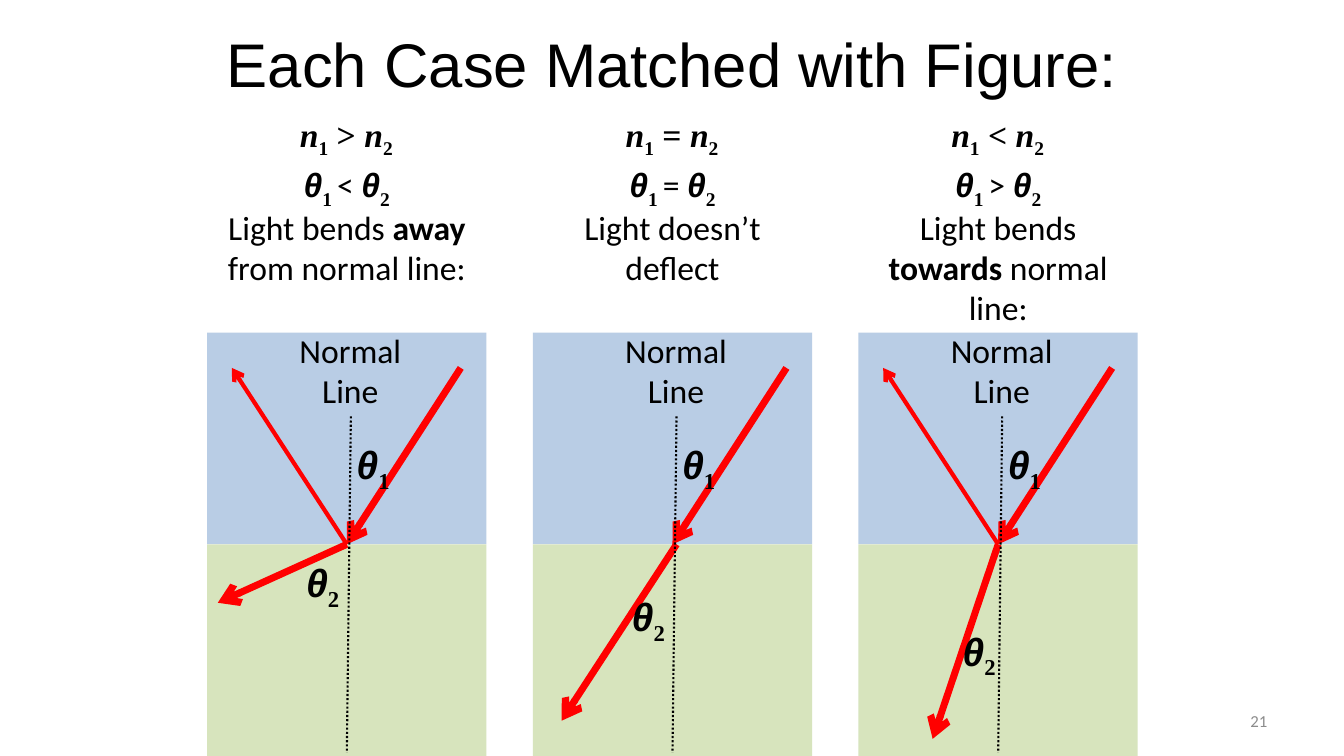
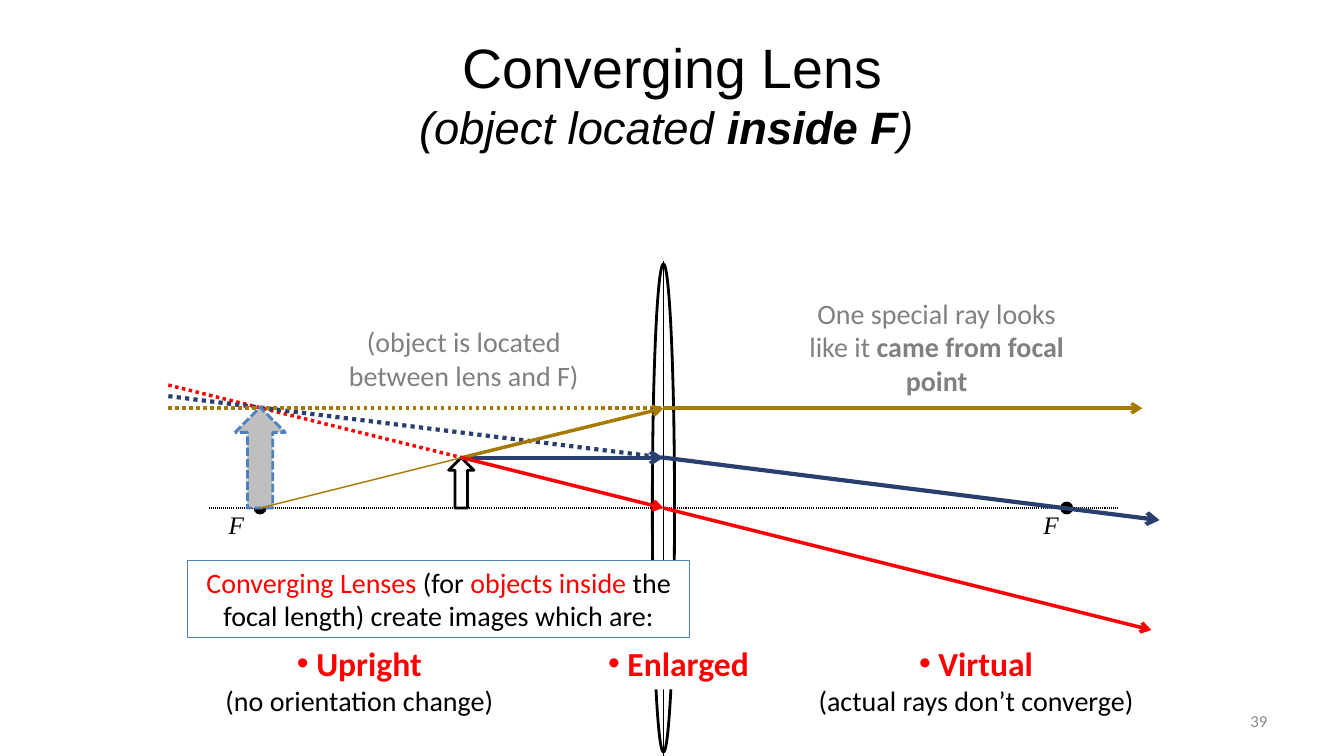
from lxml import etree
from pptx import Presentation
from pptx import util as u
from pptx.dml.color import RGBColor
from pptx.enum import dml, shapes, text
from pptx.oxml.ns import qn

COLORS = {
    "black": "000000", "white": "FFFFFF", "red": "FF0000", "navy": "293F6F",
    "gold": "A67A00", "blue": "4F81BD", "air": "B9CDE5", "glass": "D7E4BD",
    "image": "BFBFBF", "note": "808080", "number": "8C8C8C",
}
RGB = {name: RGBColor.from_string(value) for name, value in COLORS.items()}
SANS, BODY, SERIF = "Arial", "Calibri", "Times New Roman"
CENTER, LEFT, RIGHT = text.PP_ALIGN.CENTER, text.PP_ALIGN.LEFT, text.PP_ALIGN.RIGHT
DOTS, DASHES = dml.MSO_LINE.ROUND_DOT, dml.MSO_LINE.SQUARE_DOT
SHAPE = shapes.MSO_SHAPE


def write(shape, runs, size, font=BODY, color="black", align=CENTER,
          anchor=text.MSO_ANCHOR.TOP, fit=text.MSO_AUTO_SIZE.SHAPE_TO_FIT_TEXT, bullet=False):
    frame = shape.text_frame
    frame.word_wrap = True
    frame.auto_size = fit
    frame.vertical_anchor = anchor
    paragraph = frame.paragraphs[0]
    paragraph.alignment = align
    if bullet:
        properties = paragraph._p.get_or_add_pPr()
        properties.set("marL", "0")
        properties.set("indent", "0")
        etree.SubElement(properties, qn("a:buFont")).set("typeface", SANS)
        etree.SubElement(properties, qn("a:buChar")).set("char", "•")
    for words, style in runs:
        if words == "\n":
            paragraph.add_line_break()
            continue
        run = paragraph.add_run()
        run.text = words
        run.font.size = u.Pt(style.get("size", size))
        run.font.name = style.get("font", font)
        run.font.bold = style.get("bold", False)
        run.font.italic = style.get("italic", False)
        run.font.color.rgb = RGB[style.get("color", color)]
        if style.get("subscript"):
            run.font._element.set("baseline", "-25000")


def draw_line(slide, start, end, color, width, dash=None, arrow=False):
    points = [u.Inches(value) for value in (*start, *end)]
    line = slide.shapes.add_connector(shapes.MSO_CONNECTOR.STRAIGHT, *points)
    line.line.color.rgb = RGB[color]
    line.line.width = u.Pt(width)
    if dash:
        line.line.dash_style = dash
    if arrow:
        etree.SubElement(line.line._get_or_add_ln(), qn("a:tailEnd")).set("type", "arrow")
    etree.SubElement(line._element.spPr, qn("a:effectLst"))
    return line


presentation = Presentation()
presentation.slide_width = u.Inches(13.33)
presentation.slide_height = u.Inches(7.5)

slides = []
for title_box, title_runs, number in (
    ((1.92, 0, 9.5, 1.25), [("Each Case Matched with Figure:", {})], "21"),
    ((0.67, 0.3, 12, 1.25), [
        ("Converging Lens", {"size": 39.6}),
        ("\n", {}),
        ("(object located ", {"size": 32.4, "italic": True}),
        ("inside F", {"size": 32.4, "italic": True, "bold": True}),
        (") ", {"size": 32.4, "italic": True}),
    ], "39"),
):
    slide = presentation.slides.add_slide(presentation.slide_layouts[5])
    title = slide.shapes.title
    title.left, title.top, title.width, title.height = map(u.Inches, title_box)
    write(title, title_runs, 44, SANS, anchor=text.MSO_ANCHOR.MIDDLE, fit=text.MSO_AUTO_SIZE.NONE)
    number_box = slide.shapes.add_textbox(*map(u.Inches, (9.56, 6.95, 3.11, 0.4)))
    write(number_box, [(number, {})], 12, color="number", align=RIGHT,
          anchor=text.MSO_ANCHOR.MIDDLE, fit=text.MSO_AUTO_SIZE.NONE)
    slides.append(slide)
cases_slide, lens_slide = slides

SYMBOL = {"bold": True, "italic": True}
INDEX = {"bold": True, "subscript": True, "font": SERIF}
BOLD = {"bold": True}
BOUNDARY = 5.4
cases = [
    (">", "<", [("Light bends ", {}), ("away", BOLD), (" from normal line:", {})],
     0.91, True, (0, -1.28, 5.98), (-0.53, 5.49)),
    ("=", "=", [("Light doesn’t deflect", {})],
     0.91, False, (0.04, -1.1, 7.15), (-0.53, 5.83)),
    ("<", ">", [("Light bends ", {}), ("towards", BOLD), (" normal line:", {})],
     1.31, True, (0, -0.65, 7.33), (-0.48, 6.17)),
]
for position, case in enumerate(cases):
    index_sign, angle_sign, description, height, reflects, refracted, angle_place = case
    center = 3.44 + 3.23 * position
    media = []
    for top, color in ((BOUNDARY - 2.1, "air"), (BOUNDARY, "glass")):
        medium = cases_slide.shapes.add_shape(
            SHAPE.RECTANGLE, *map(u.Inches, (center - 1.385, top, 2.77, 2.1)))
        medium.shadow.inherit = False
        medium.fill.solid()
        medium.fill.fore_color.rgb = RGB[color]
        medium.line.fill.background()
        media.append(medium)
    air, glass = media

    hit = (center, BOUNDARY)
    incident = draw_line(cases_slide, (center + 1.13, 3.65), hit, "red", 5, arrow=True)
    incident.end_connect(air, 2)
    start, end, bottom = refracted
    transmitted = draw_line(cases_slide, (center + start, BOUNDARY), (center + end, bottom),
                            "red", 5, arrow=True)
    if start == 0:
        transmitted.begin_connect(glass, 0)
    if reflects:
        reflected = draw_line(cases_slide, hit, (center - 1.14, 3.65), "red", 3, arrow=True)
        reflected.begin_connect(air, 2)

    labels = [
        ((-0.63, 3.22, 1.33, 0.91), [("Normal Line", {})], 24, BODY),
        ((-0.03, 4.32, 0.58, 0.57), [("θ", SYMBOL), ("1", INDEX)], 28, SANS),
        ((*angle_place, 0.58, 0.57), [("θ", SYMBOL), ("2", INDEX)], 28, SANS),
        ((-1.13, 1.08, 2.25, 0.5),
         [("n", SYMBOL), ("1", INDEX), (f" {index_sign} ", BOLD), ("n", SYMBOL), ("2", INDEX)],
         24, SERIF),
        ((-1.46, 1.58, 2.92, 0.51),
         [("θ", SYMBOL), ("1 ", INDEX), (f"{angle_sign} ", {"font": BODY}),
          ("θ", SYMBOL), ("2", INDEX)], 24, SANS),
        ((-1.29, 2, 2.58, height), description, 24, BODY),
    ]
    for (offset, *rest), runs, size, font in labels:
        label = cases_slide.shapes.add_textbox(*map(u.Inches, (center + offset, *rest)))
        write(label, runs, size, font)
    draw_line(cases_slide, (center + 0.04, 4.13), (center, 7.47), "black", 1.5, DOTS)

AXIS, LENS, OBJECT, FOCUS = 5.04, 6.58, 4.58, 2.58
OBJECT_TOP, IMAGE_TOP = 4.54, 4.05
draw_line(lens_slide, (2.07, AXIS), (11.09, AXIS), "black", 0.75, DOTS)
draw_line(lens_slide, (LENS, 2.59), (LENS, 7.5), "black", 0.75)
for left, color, width, end in (
    (3.82, "red", 2.5, (OBJECT, OBJECT_TOP)),
    (3.93, "navy", 3, (LENS, OBJECT_TOP)),
    (4.05, "gold", 2.5, (LENS, IMAGE_TOP)),
):
    draw_line(lens_slide, (1.67, left), end, color, width, DOTS)

for kind, box, fill, color, dash in (
    (SHAPE.OVAL, (2.53, 4.99, 0.1, 0.1), "black", "black", None),
    (SHAPE.OVAL, (10.53, 4.99, 0.1, 0.1), "black", "black", None),
    (SHAPE.OVAL, (6.47, 2.62, 0.22, 4.84), None, "black", None),
    (SHAPE.UP_ARROW, (4.45, 4.54, 0.25, 0.5), None, "black", None),
    (SHAPE.UP_ARROW, (2.33, 4.04, 0.5, 1), "image", "blue", DASHES),
):
    figure = lens_slide.shapes.add_shape(kind, *map(u.Inches, box))
    figure.shadow.inherit = False
    if fill:
        figure.fill.solid()
        figure.fill.fore_color.rgb = RGB[fill]
    else:
        figure.fill.background()
    figure.line.color.rgb = RGB[color]
    figure.line.width = u.Pt(2)
    if dash:
        figure.line.dash_style = dash

draw_line(lens_slide, (FOCUS, AXIS), (OBJECT, OBJECT_TOP), "gold", 1)
for color, width, lens_height, exit_point in (
    ("navy", 3, OBJECT_TOP, (11.5, 5.16)),
    ("gold", 2.5, IMAGE_TOP, (11.33, IMAGE_TOP)),
    ("red", 2.5, AXIS, (11.42, 6.25)),
):
    crossing = (LENS, lens_height)
    draw_line(lens_slide, (OBJECT, OBJECT_TOP), crossing, color, width, arrow=True)
    draw_line(lens_slide, crossing, exit_point, color, width, arrow=True)

for left in (2.17, 10.25):
    focus_label = lens_slide.shapes.add_textbox(*map(u.Inches, (left, 5, 0.33, 0.4)))
    write(focus_label, [("F", {"italic": True})], 18, SERIF, align=LEFT)

for box, runs in (
    ((7.83, 2.89, 2.92, 1.11),
     [("One special ray looks like it ", {}), ("came from focal point", BOLD)]),
    ((3.12, 3.17, 2.96, 0.77), [("(object is located between lens and F)", {})]),
):
    note = lens_slide.shapes.add_textbox(*map(u.Inches, box))
    write(note, runs, 20, color="note")

PROPERTY = {"size": 24, "bold": True, "color": "red"}
RED = {"color": "red"}
for box, runs, fill, border, bullet in (
    ((1.73, 6.33, 3.67, 0.84),
     [(" Upright", PROPERTY), ("\n", {}), ("(no orientation change)", {})], None, None, True),
    ((5.48, 6.33, 2.5, 0.51), [(" Enlarged", PROPERTY)], "white", None, True),
    ((7.69, 6.33, 3.98, 0.84),
     [(" Virtual", PROPERTY), ("\n", {}), ("(actual rays don’t converge)", {})],
     "white", None, True),
    ((1.86, 5.56, 4.98, 0.77),
     [("Converging Lenses ", RED), ("(for ", {}), ("objects inside ", RED),
      ("the focal length) create images which are:", {})], "white", "blue", False),
):
    panel = lens_slide.shapes.add_shape(SHAPE.RECTANGLE, *map(u.Inches, box))
    panel.shadow.inherit = False
    if fill:
        panel.fill.solid()
        panel.fill.fore_color.rgb = RGB[fill]
    else:
        panel.fill.background()
    if border:
        panel.line.color.rgb = RGB[border]
        panel.line.width = u.Pt(0.75)
    else:
        panel.line.fill.background()
    write(panel, runs, 20, bullet=bullet)

presentation.save("out.pptx")
